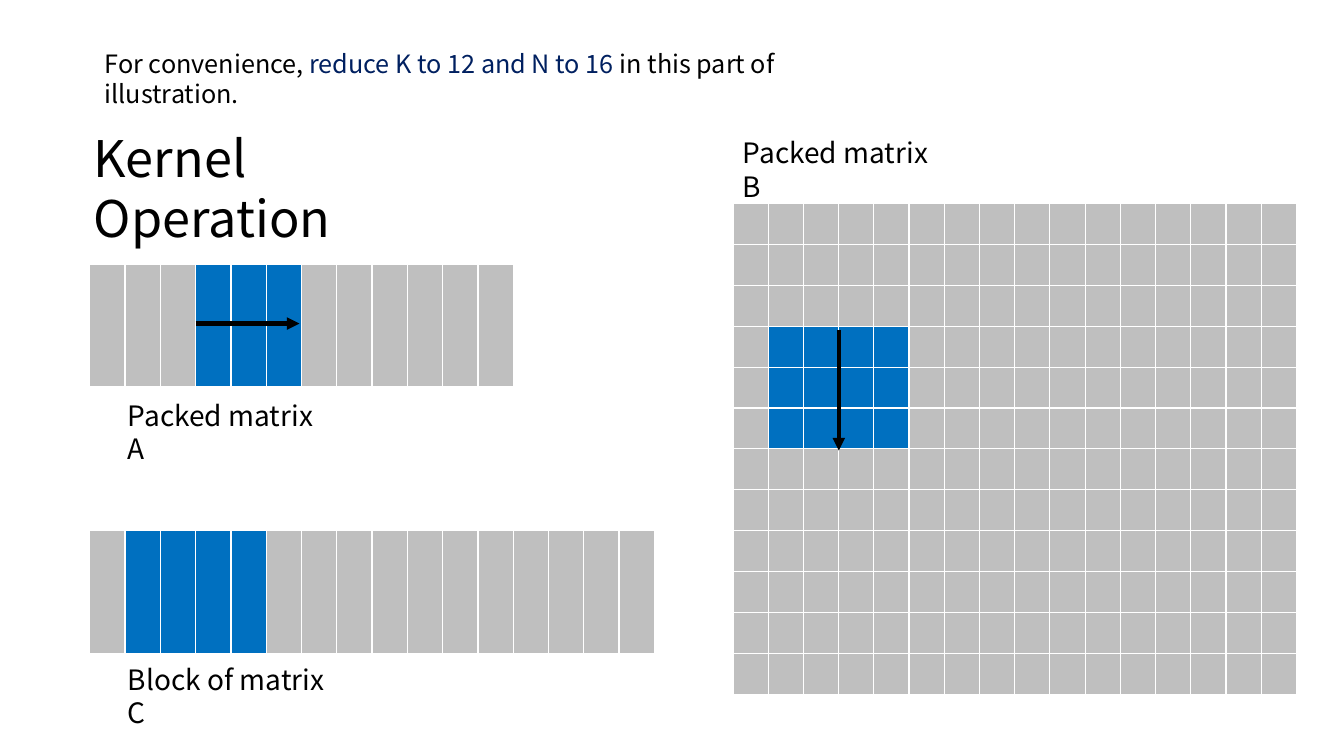
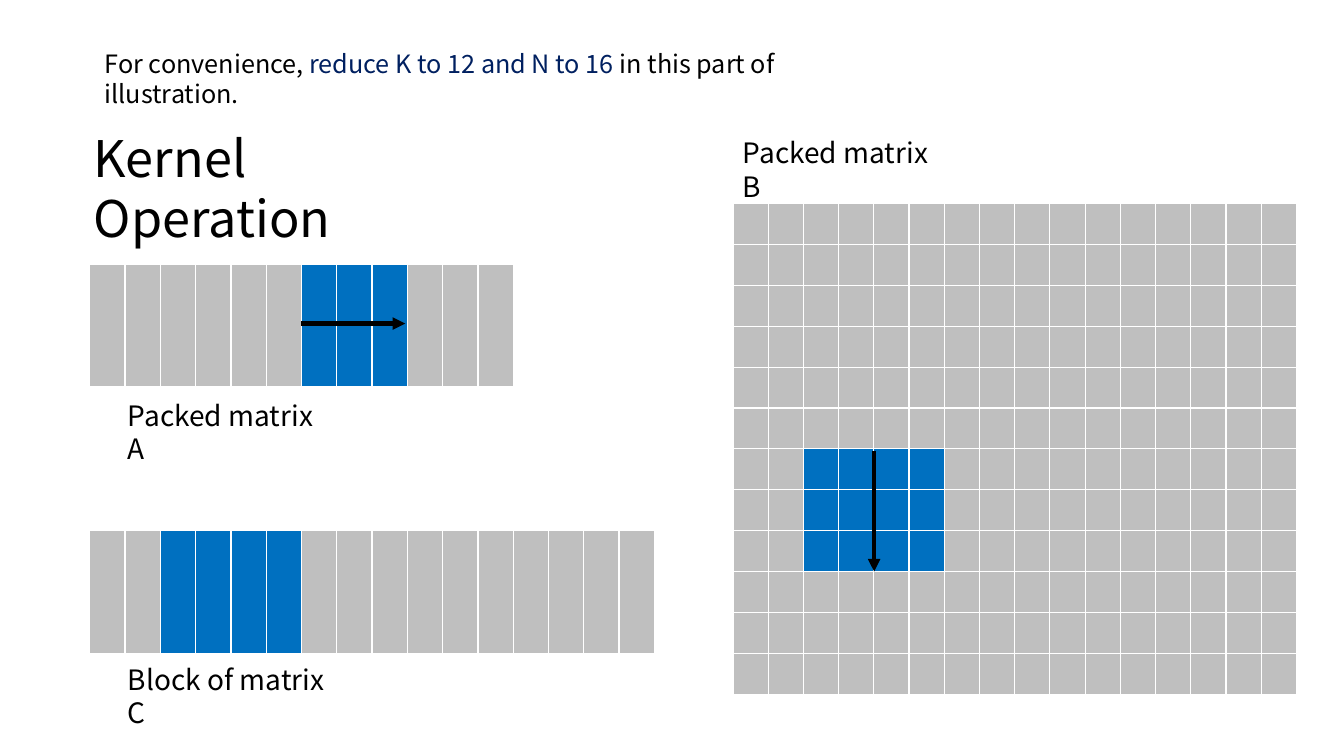
from lxml.etree import SubElement
from pptx import Presentation
from pptx.dml.color import RGBColor
from pptx.enum.shapes import MSO_CONNECTOR as Connector
from pptx.enum.text import MSO_ANCHOR as Anchor, MSO_AUTO_SIZE as AutoSize, PP_ALIGN as Align
from pptx.oxml.ns import qn
from pptx.util import Inches, Pt

BLACK = RGBColor(0x00, 0x00, 0x00)
WHITE = RGBColor(0xFF, 0xFF, 0xFF)
NAVY = RGBColor(0x00, 0x20, 0x60)
BLUE = RGBColor(0x00, 0x70, 0xC0)
GRAY = RGBColor(0xBF, 0xBF, 0xBF)
FONT = "Noto Sans CJK SC"
TITLE_ONLY = 5
TILE_DEPTH = 3
TILE_WIDTH = 4


def write(box, *pieces, size=20, color=BLACK, align=Align.LEFT):
    frame = box.text_frame
    frame.word_wrap = True
    frame.auto_size = AutoSize.NONE
    frame.vertical_anchor = Anchor.TOP
    para = frame.paragraphs[0]
    para.alignment = align
    for piece in pieces:
        words, tint = piece if isinstance(piece, tuple) else (piece, color)
        span = para.add_run()
        span.text = words
        span.font.size = Pt(size)
        span.font.name = FONT
        span.font.color.rgb = tint


def border(cell, side, points):
    line = SubElement(cell._tc.get_or_add_tcPr(), qn(f"a:ln{side}"), w=str(Pt(points)))
    fill = SubElement(line, qn("a:solidFill"))
    SubElement(fill, qn("a:srgbClr"), val=str(WHITE))


class Illustration:
    def __init__(self):
        self.deck = Presentation()
        self.deck.slide_width = Inches(13.33)
        self.deck.slide_height = Inches(7.5)
        self.page = None

    def add_page(self):
        self.page = self.deck.slides.add_slide(self.deck.slide_layouts[TITLE_ONLY])

    def title(self, words, left, top, width, height):
        box = self.page.shapes.title
        box.left, box.top = Inches(left), Inches(top)
        box.width, box.height = Inches(width), Inches(height)
        write(box, words, size=36)

    def text(self, left, top, width, height, *pieces, **style):
        box = self.page.shapes.add_textbox(
            Inches(left), Inches(top), Inches(width), Inches(height))
        write(box, *pieces, **style)

    def matrix(self, left, top, width, height, rows, columns, tile_rows, tile_columns, bottom=1):
        table = self.page.shapes.add_table(
            rows, columns, Inches(left), Inches(top), Inches(width), Inches(height)).table
        table.first_row = table.horz_banding = False
        for row in range(rows):
            for column in range(columns):
                cell = table.cell(row, column)
                cell.margin_top = cell.margin_bottom = 0
                for side in "LRT":
                    border(cell, side, 1)
                border(cell, "B", bottom)
                cell.fill.solid()
                inside = row in tile_rows and column in tile_columns
                cell.fill.fore_color.rgb = BLUE if inside else GRAY

    def arrow(self, left, top, right, bottom):
        arrow = self.page.shapes.add_connector(
            Connector.STRAIGHT, Inches(left), Inches(top), Inches(right), Inches(bottom))
        arrow.line.color.rgb = BLACK
        arrow.line.width = Pt(3)
        SubElement(arrow.line._get_or_add_ln(), qn("a:tailEnd"), type="triangle")
        SubElement(arrow._element.spPr, qn("a:effectLst"))

    def kernel_step(self, step):
        depth = range(step * TILE_DEPTH, (step + 1) * TILE_DEPTH)
        across = range(step, step + TILE_WIDTH)
        self.add_page()
        self.title("Kernel Operation", 0.83, 1.21, 3.89, 0.71)
        self.text(0.94, 0.43, 7.79, 0.4, "For convenience, ",
                  ("reduce K to 12 and N to 16 ", NAVY),
                  "in this part of illustration.", size=18)

        self.matrix(0.89, 2.62, 4.2, 1.23, 1, 12, [0], depth, bottom=3)
        start = 0.89 + 0.35 * depth.start
        self.arrow(start, 3.21, start + 1.03, 3.21)
        self.text(1.17, 3.9, 2.14, 0.44, "Packed matrix A")

        self.text(7.27, 1.3, 2.12, 0.44, "Packed matrix B")
        self.text(1.17, 6.52, 2.24, 0.44, "Block of matrix C")
        self.matrix(0.89, 5.26, 5.6, 1.24, 1, 16, [0], across, bottom=3)

        self.matrix(7.27, 2.02, 5.59, 4.87, 12, 16, depth, across)
        middle = 7.27 + 0.35 * (across.start + TILE_WIDTH / 2)
        start = 3.27 + 1.2 * (step - 1)
        self.arrow(middle, start, middle, start + 1.2)


show = Illustration()
for step in (1, 2):
    show.kernel_step(step)
show.deck.save("out.pptx")
